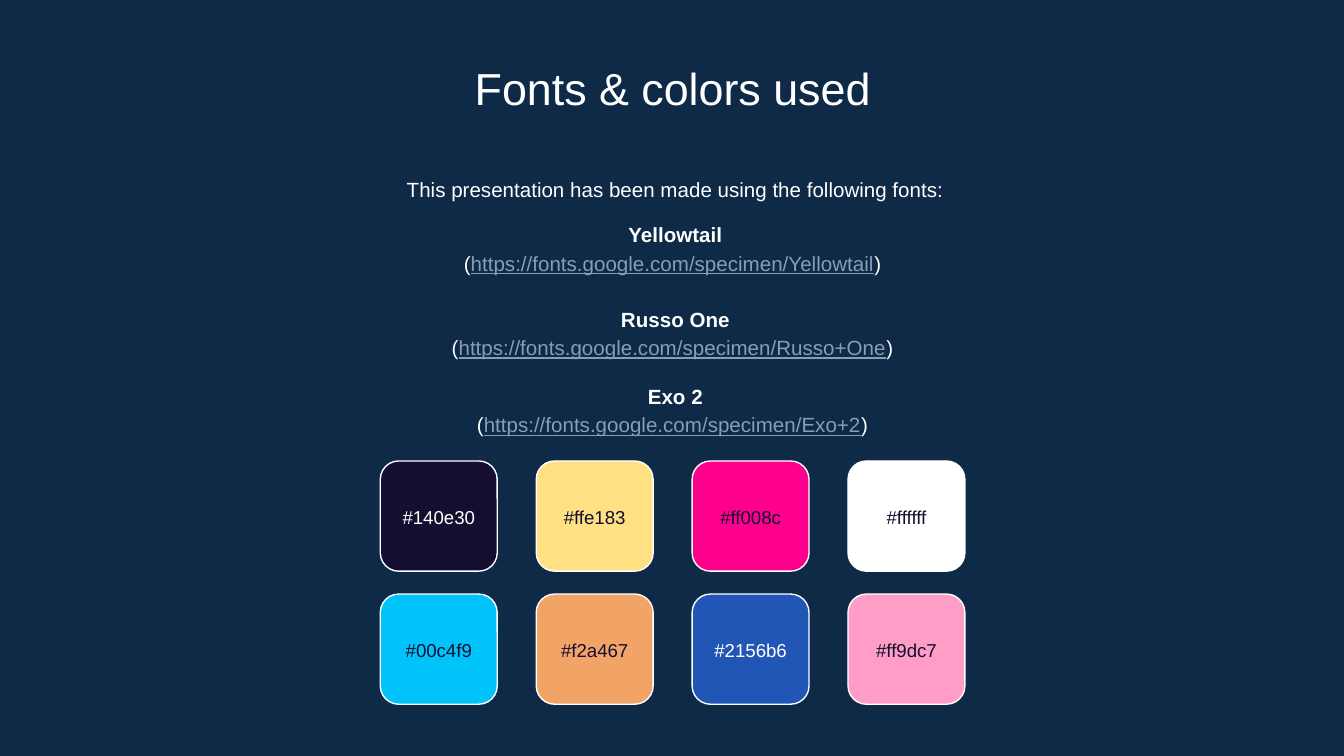
from dataclasses import dataclass

from pptx import Presentation
from pptx.dml.color import RGBColor
from pptx.enum.shapes import MSO_SHAPE
from pptx.enum.text import MSO_ANCHOR, PP_ALIGN
from pptx.util import Inches, Pt

ROUND_RECT = MSO_SHAPE.ROUNDED_RECTANGLE
CENTER = PP_ALIGN.CENTER
TOP, MIDDLE = MSO_ANCHOR.TOP, MSO_ANCHOR.MIDDLE


@dataclass(frozen=True)
class Theme:
    font: str = "Arial"
    background: str = "0E2A47"
    light: str = "FFFFFF"
    dark: str = "140E30"
    link: str = "869FB2"
    title_size: float = 24
    body_size: float = 11
    label_size: float = 10
    outline: float = 0.75
    body_spacing: float = 1.15


THEME = Theme()
WIDTH = 10
HEIGHT = WIDTH * 9 / 16
TEXT_WIDTH = 7.71

# Swatch grid, in inches
GRID_LEFT, GRID_TOP = 2.83, 3.43
COLUMN_STEP, ROW_STEP = 1.16, 0.99
SWATCH_WIDTH, SWATCH_HEIGHT = 0.87, 0.82
LABEL_HEIGHT = 0.48
LABEL_OFFSET = 0.18
CORNER = 1 / 6

# Font name, address, space before in points
FONTS = [
    ("Yellowtail", "https://fonts.google.com/specimen/Yellowtail", 0),
    ("Russo One", "https://fonts.google.com/specimen/Russo+One", 15),
    ("Exo 2", "https://fonts.google.com/specimen/Exo+2", 11),
]

# Rows of colour code and label colour
PALETTE = [
    [("#140e30", THEME.light), ("#ffe183", THEME.dark),
     ("#ff008c", THEME.dark), ("#ffffff", THEME.dark)],
    [("#00c4f9", THEME.dark), ("#f2a467", THEME.dark),
     ("#2156b6", THEME.light), ("#ff9dc7", THEME.dark)],
]


def rgb(code):
    return RGBColor.from_string(code.lstrip("#").upper())


def add_box(s, left, top, width, height, anchor=TOP):
    """Add an empty wrapping text box and return its text frame."""
    box = s.shapes.add_textbox(*map(Inches, (left, top, width, height)))
    tf = box.text_frame
    frame_format = {"word_wrap": True, "vertical_anchor": anchor}
    for side in ("left", "top", "right", "bottom"):
        frame_format[f"margin_{side}"] = Inches(0.1)
    for name, value in frame_format.items():
        setattr(tf, name, value)
    return tf


def add_line(tf, runs, size, spacing=None, before=0):
    """Add a centred paragraph made of (text, colour, font format) runs."""
    p = tf.add_paragraph() if tf.text else tf.paragraphs[0]
    p.alignment = CENTER
    if spacing:
        p.line_spacing = spacing
    if before:
        p.space_before = Pt(before)
    for text, color, extra in runs:
        r = p.add_run()
        r.text = text
        r.font.color.rgb = rgb(color)
        font_format = {"name": THEME.font, "size": Pt(size), **extra}
        for name, value in font_format.items():
            setattr(r.font, name, value)


def add_font_list(s):
    tf = add_box(s, 1.17, 1.64, TEXT_WIDTH, 1.6, MIDDLE)
    for name, address, before in FONTS:
        add_line(tf, [(name, THEME.light, {"bold": True})],
                 THEME.body_size, THEME.body_spacing, before)
        add_line(tf, [("(", THEME.light, {}),
                      (address, THEME.link, {"underline": True}),
                      (") ", THEME.light, {})],
                 THEME.body_size, THEME.body_spacing)


def add_swatch(s, column, row, code, label_color):
    left = GRID_LEFT + column * COLUMN_STEP
    top = GRID_TOP + row * ROW_STEP
    sp = s.shapes.add_shape(
        ROUND_RECT, *map(Inches, (left, top, SWATCH_WIDTH, SWATCH_HEIGHT)))
    sp.shadow.inherit = False
    sp.adjustments[0] = CORNER
    sp.fill.solid()
    sp.fill.fore_color.rgb = rgb(code)
    sp.line.color.rgb = rgb(THEME.light)
    sp.line.width = Pt(THEME.outline)

    tf = add_box(s, left, top + LABEL_OFFSET, SWATCH_WIDTH, LABEL_HEIGHT,
                 MIDDLE)
    add_line(tf, [(code, label_color, {})], THEME.label_size)


def main():
    prs = Presentation()
    prs.slide_width, prs.slide_height = Inches(WIDTH), Inches(HEIGHT)
    s = prs.slides.add_slide(prs.slide_layouts[6])
    s.background.fill.solid()
    s.background.fill.fore_color.rgb = rgb(THEME.background)

    # Introduction and fonts
    intro = add_box(s, 1.17, 1.19, TEXT_WIDTH, 0.48)
    sentence = "This presentation has been made using the following fonts:"
    add_line(intro, [(sentence, THEME.light, {})],
             THEME.body_size, THEME.body_spacing)
    add_font_list(s)

    # Title
    title = add_box(s, 1.15, 0.35, TEXT_WIDTH, 0.53)
    add_line(title, [("Fonts & colors used", THEME.light, {})],
             THEME.title_size)

    # Colour palette
    for row, swatches in enumerate(PALETTE):
        for column, (code, label_color) in enumerate(swatches):
            add_swatch(s, column, row, code, label_color)

    prs.save("out.pptx")


if __name__ == "__main__":
    main()
